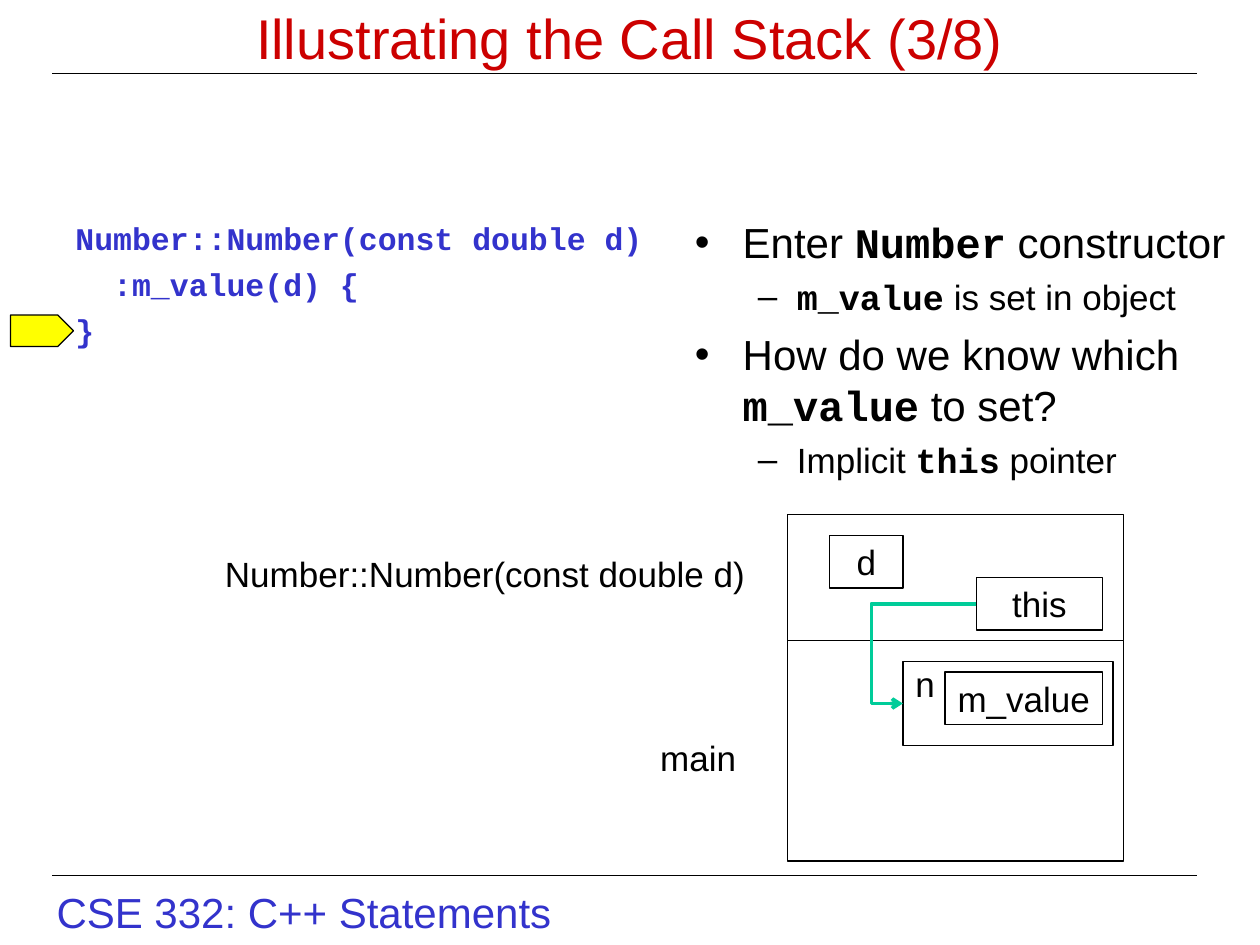
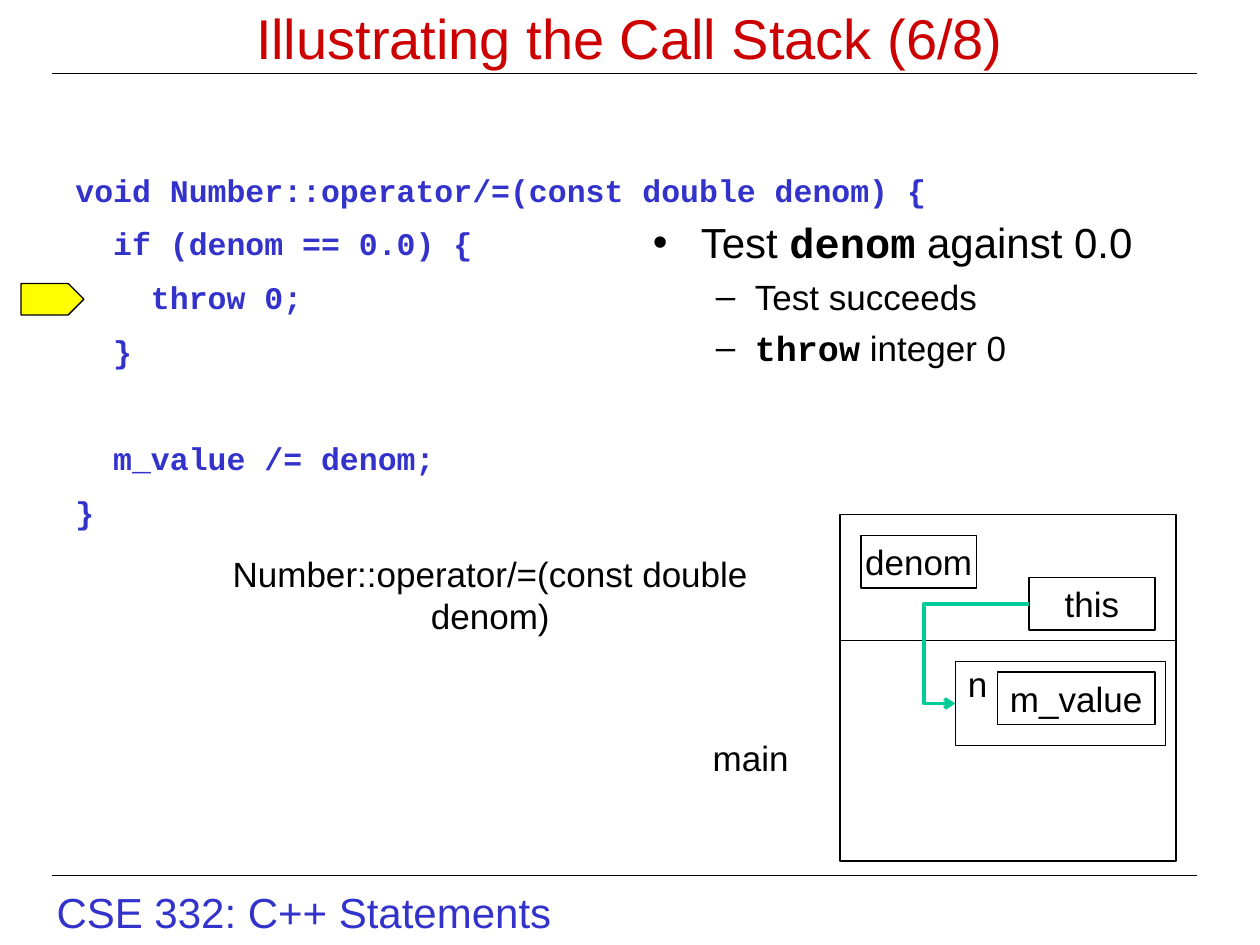
from lxml import etree
from pptx import Presentation
from pptx.dml.color import RGBColor
from pptx.enum.shapes import MSO_CONNECTOR, MSO_SHAPE
from pptx.enum.text import MSO_ANCHOR, PP_ALIGN
from pptx.oxml.ns import qn
from pptx.util import Inches, Pt

LEFT, CENTER = PP_ALIGN.LEFT, PP_ALIGN.CENTER
TOP, MIDDLE = MSO_ANCHOR.TOP, MSO_ANCHOR.MIDDLE
RECT, POINTER = MSO_SHAPE.RECTANGLE, MSO_SHAPE.PENTAGON
STRAIGHT, ELBOW = MSO_CONNECTOR.STRAIGHT, MSO_CONNECTOR.ELBOW

THEME = {
    "black": RGBColor(0, 0, 0),
    "white": RGBColor(255, 255, 255),
    "yellow": RGBColor(255, 255, 0),
    "red": RGBColor(0xCC, 0, 0),
    "blue": RGBColor(0x33, 0x33, 0xCC),
    "green": RGBColor(0, 0xCC, 0x99),
    "sans": "Arial",
    "mono": "Courier New",
    "title": 32, "footer": 24, "bullet": 24, "dash": 20, "label": 20, "code": 18,
    "leading": 1.205,
    "thin": 0.75, "thick": 2,
}

# The slide is a grid of 120 columns and 90 rows; every length below is in cells.
COLS, ROWS = 120, 90
prs = Presentation()
prs.slide_width, prs.slide_height = Inches(10), Inches(7.5)
CELL = prs.slide_width / COLS

# Bullet levels: type size, character, left margin and hang (inches), space before
LEVELS = [
    {"size": THEME["bullet"], "char": "•", "margin": 0.38, "hang": 0.38, "before": 6},
    {"size": THEME["dash"], "char": "–", "margin": 0.81, "hang": 0.31, "before": 5},
]

# Text between backquotes in a bullet is code.
SLIDES = [
    {
        "title": "Illustrating the Call Stack (3/8)",
        "code": ["Number::Number(const double d)", "  :m_value(d) {", "}"],
        "code_at": (6, 20.25, 65, 40), "code_leading": 1, "code_before": 4.5,
        "bullets": [(0, "Enter `Number` constructor"),
                    (1, "`m_value` is set in object"),
                    (0, "How do we know which `m_value` to set?"),
                    (1, "Implicit `this` pointer")],
        "bullets_at": (65, 20, 54, 39),
        "pointer": (1, 30),
        "stack": 75,
        "frame": ("Number::Number(const double d)", 20.2, 52),
        "argument": ("d", 4, 7),
    },
    {
        "title": "Illustrating the Call Stack (6/8)",
        "code": ["void Number::operator/=(const double denom) {",
                 "  if (denom == 0.0) {", "    throw 0;", "  }", "",
                 "  m_value /= denom;", "}"],
        "code_at": (6, 16, 85, 35), "code_leading": 0.9, "code_before": 11.2,
        "bullets": [(0, "Test `denom` against 0.0"),
                    (1, "Test succeeds"),
                    (1, "`throw` integer 0")],
        "bullets_at": (61, 20, 58, 39),
        "pointer": (2, 27),
        "stack": 80,
        "frame": ("Number::operator/=(const double denom)", 14.85, 63.7),
        "argument": ("denom", 2, 11),
    },
]


def cells(*lengths):
    return [round(n * CELL) for n in lengths]


def write(shape, text, size, color="black", align=LEFT, anchor=TOP, wrap=True,
          p=None, font="sans"):
    """Put text in a shape, switching to bold code between backquotes."""
    tf = shape.text_frame
    frame_format = {"word_wrap": wrap, "vertical_anchor": anchor}
    for name, value in frame_format.items():
        setattr(tf, name, value)
    p = p or tf.paragraphs[0]
    p.alignment = align
    for i, part in enumerate(text.split("`")):
        if part:
            r = p.add_run()
            r.text = part
            code = font == "mono" or i % 2 == 1
            run_format = {"name": THEME["mono" if code else "sans"],
                          "size": Pt(size), "bold": code}
            for name, value in run_format.items():
                setattr(r.font, name, value)
            r.font.color.rgb = THEME[color]


for content in SLIDES:
    s = prs.slides.add_slide(prs.slide_layouts[6])
    sp = s.shapes

    # Footer, rules and title
    write(sp.add_textbox(*cells(4.2, 83.85, 50, 6)), "CSE 332: C++ Statements",
          THEME["footer"], "blue", wrap=False)
    rules = [sp.add_connector(STRAIGHT, *cells(5, y, 114, y)) for y in (7, 83.4)]
    write(sp.add_textbox(*cells(3, 0, 114, 7)), content["title"], THEME["title"],
          "red", CENTER, MIDDLE)

    # Code; an empty line widens the gap above the next one
    box = sp.add_textbox(*cells(*content["code_at"]))
    line_height = THEME["code"] * THEME["leading"] * content["code_leading"]
    before = 0
    for i, line in enumerate(content["code"]):
        if not line:
            before += line_height + content["code_before"]
            continue
        p = box.text_frame.add_paragraph() if i else box.text_frame.paragraphs[0]
        p.line_spacing, p.space_before = Pt(line_height), Pt(before)
        write(box, line, THEME["code"], "blue", p=p, font="mono")
        before = content["code_before"]

    # Bullets
    box = sp.add_textbox(*cells(*content["bullets_at"]))
    for i, (depth, text) in enumerate(content["bullets"]):
        level = LEVELS[depth]
        p = box.text_frame.add_paragraph() if i else box.text_frame.paragraphs[0]
        p.level = depth
        pPr = p._p.get_or_add_pPr()
        pPr.set("marL", str(Inches(level["margin"])))
        pPr.set("indent", str(-Inches(level["hang"])))
        etree.SubElement(pPr, qn("a:buFont"), typeface=THEME["sans"])
        etree.SubElement(pPr, qn("a:buChar"), char=level["char"])
        p.line_spacing = Pt(level["size"] * THEME["leading"])
        p.space_before = Pt(level["before"] if i else 0)
        write(box, text, level["size"], p=p)

    # Line pointer and call stack
    x = content["stack"]
    argument, argument_x, argument_w = content["argument"]
    boxes = {}
    for name, kind, fill, at in [
        ("pointer", POINTER, "yellow", (*content["pointer"], 6, 3)),
        ("callee", RECT, "white", (x, 49, 32, 12)),
        ("caller", RECT, "white", (x, 61, 32, 21)),
        ("n", RECT, "white", (x + 11, 63, 20, 8)),
        ("m_value", RECT, "white", (x + 15, 64, 15, 5)),
        ("this", RECT, "white", (x + 18, 55, 12, 5)),
        (argument, RECT, "white", (x + argument_x, 51, argument_w, 5)),
    ]:
        shape = boxes[name] = sp.add_shape(kind, *cells(*at))
        shape.shadow.inherit = False
        shape.fill.solid()
        shape.fill.fore_color.rgb = THEME[fill]
        shape.line.color.rgb = THEME["black"]
        shape.line.width = Pt(THEME["thin"])

    for name in ("m_value", "this", argument):
        write(boxes[name], name, THEME["label"], align=CENTER, anchor=MIDDLE, wrap=False)
    write(boxes["n"], "n", THEME["label"])
    boxes["n"].text_frame.margin_top = Inches(0.01)

    # Frame labels
    frame, frame_x, frame_w = content["frame"]
    for text, left, top, width in [(frame, frame_x, 52, frame_w),
                                   ("main", x - 13.3, 69.6, 9.6)]:
        write(sp.add_textbox(*cells(left, top, width, 5.3)), text, THEME["label"],
              align=CENTER, wrap=False)

    # Arrow from this to n, turning 10 cells left of its start over a span of 7
    arrow = sp.add_connector(ELBOW, *cells(x + 18, 57.5, x + 11, 67))
    arrow.begin_connect(boxes["this"], 1)
    arrow.end_connect(boxes["n"], 1)
    guides = arrow._element.spPr.find(qn("a:prstGeom")).get_or_add_avLst()
    etree.SubElement(guides, qn("a:gd"), name="adj1", fmla=f"val {round(100000 * 10 / 7)}")

    for line, color, width in [(rules[0], "black", "thin"), (rules[1], "black", "thin"),
                               (arrow, "green", "thick")]:
        line.line.color.rgb = THEME[color]
        line.line.width = Pt(THEME[width])
        etree.SubElement(line._element.spPr, qn("a:effectLst"))
    etree.SubElement(arrow.line._get_or_add_ln(), qn("a:tailEnd"), type="arrow")

prs.save("out.pptx")
